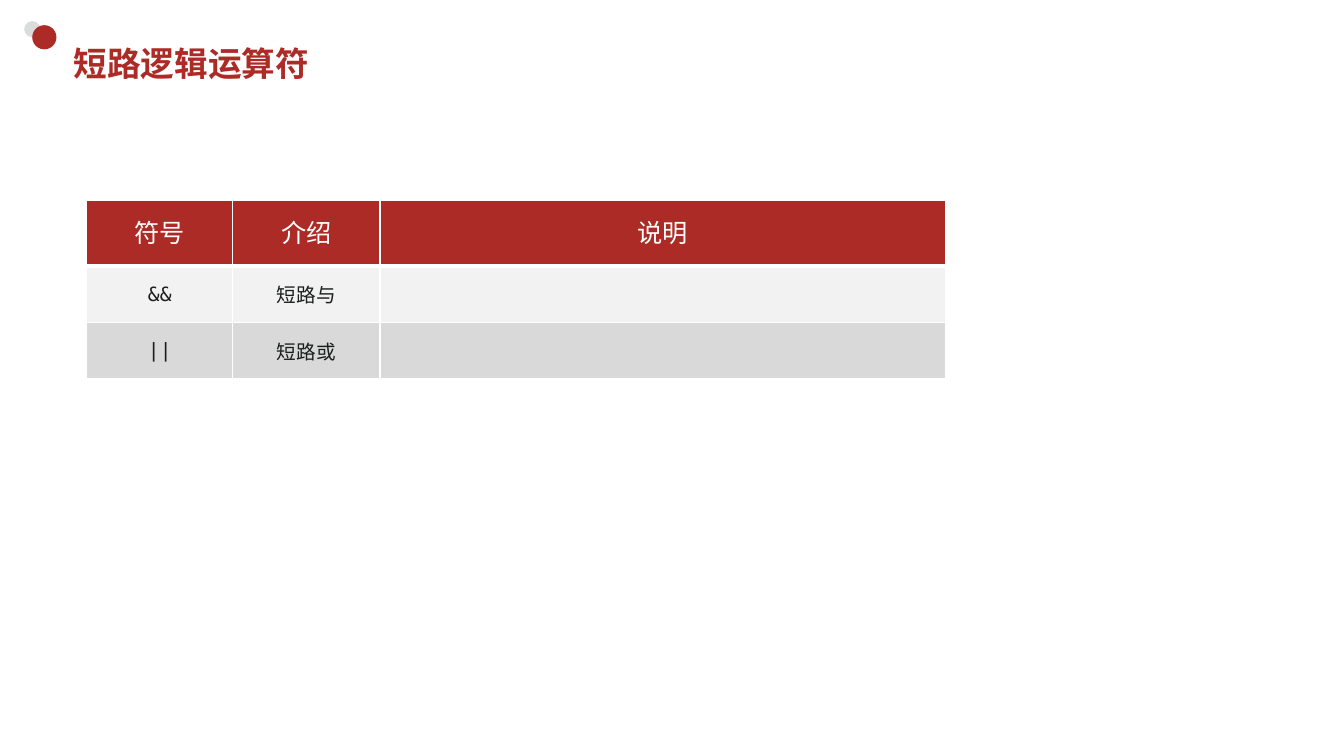
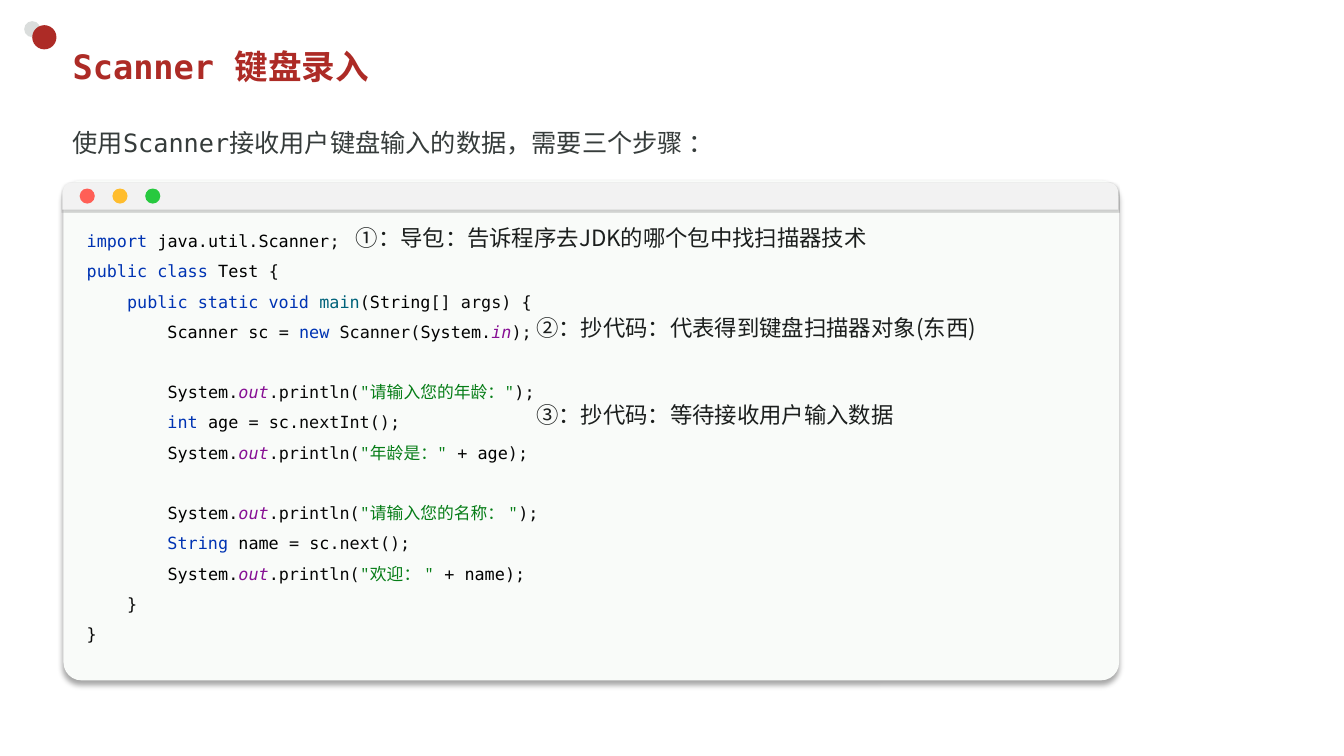
from copy import deepcopy
from dataclasses import dataclass
from typing import NamedTuple

from lxml import etree
from pptx import Presentation
from pptx.dml.color import RGBColor
from pptx.enum.lang import MSO_LANGUAGE_ID
from pptx.enum.shapes import MSO_SHAPE
from pptx.enum.text import MSO_ANCHOR, MSO_AUTO_SIZE, PP_ALIGN
from pptx.oxml.ns import qn
from pptx.util import Inches, Pt

OVAL = MSO_SHAPE.OVAL
ROUNDED = MSO_SHAPE.ROUNDED_RECTANGLE
TOP_ROUNDED = MSO_SHAPE.ROUND_2_SAME_RECTANGLE
LEFT, CENTER = PP_ALIGN.LEFT, PP_ALIGN.CENTER
TOP, MIDDLE = MSO_ANCHOR.TOP, MSO_ANCHOR.MIDDLE
FIXED, GROW = MSO_AUTO_SIZE.NONE, MSO_AUTO_SIZE.SHAPE_TO_FIT_TEXT
CHINESE = MSO_LANGUAGE_ID.SIMPLIFIED_CHINESE


@dataclass(frozen=True)
class Theme:
    red: str = "AD2B26"
    dot_grey: str = "DADDDC"
    white: str = "FFFFFF"
    light: str = "F2F2F2"
    band: str = "D9D9D9"
    ink: str = "1B1E1D"
    lead: str = "363C3B"
    window: str = "F9FBF9"
    shadow: str = "000000"
    buttons: tuple = ("FF5F56", "FFBD2E", "27C93F")
    mono: str = "DejaVu Sans Mono"
    quote_mono: str = "Noto Sans Mono"
    chinese: str = "Noto Sans CJK JP"
    table_head: str = "Calibri"
    title_size: int = 24
    lead_size: int = 18
    callout_size: int = 16
    cell_size: int = 14
    code_size: int = 12


THEME = Theme()
CODE_COLORS = {
    "keyword": "0033B3",
    "name": "000000",
    "mark": "080808",
    "method": "00627A",
    "field": "871094",
    "quote": "067D17",
    "string": "067D17",
}


class Box(NamedTuple):
    left: float
    top: float
    width: float
    height: float

    def inner(self, left, top, width, height):
        return Box(self.left + left, self.top + top, width, height)

    def lengths(self):
        return [Inches(value) for value in self]


def print_line(message, opening='"', closing='"', tail=()):
    return [
        ("mark", "        "), ("name", "System"), ("mark", "."), ("field", "out"),
        ("mark", ".println("), ("quote", opening), ("string", message),
        ("quote", closing), *tail, ("mark", ");"),
    ]


CODE_LINES = [
    [("keyword", "import "), ("name", "java.util.Scanner"), ("mark", ";")],
    [("keyword", "public class "), ("name", "Test "), ("mark", "{")],
    [("keyword", "    public static void "), ("method", "main"), ("mark", "("),
     ("name", "String"), ("mark", "[] args) {")],
    [("name", "        Scanner sc "), ("mark", "= "), ("keyword", "new "),
     ("mark", "Scanner("), ("name", "System"), ("mark", "."), ("field", "in"),
     ("mark", ");")],
    [],
    print_line("请输入您的年龄："),
    [("keyword", "        int "), ("name", "age "), ("mark", "= "), ("name", "sc"),
     ("mark", ".nextInt();")],
    print_line("年龄是：", closing='" ', tail=[("mark", "+ "), ("name", "age")]),
    [],
    print_line("请输入您的名称：", closing=' "'),
    [("keyword", "        String "), ("name", "name "), ("mark", "= "), ("name", "sc"),
     ("mark", ".next();")],
    print_line("欢迎：", closing=' " ', tail=[("mark", "+ "), ("name", "name")]),
    [("mark", "    }")],
    [("mark", "}")],
]


def add_span(para, text, size, color, font=THEME.mono, bold=False, italic=False):
    span = para.add_run()
    span.text = text
    span.font.size = Pt(size)
    span.font.name = font
    span.font.bold = bold
    span.font.italic = italic
    span.font.language_id = CHINESE
    span.font.color.rgb = RGBColor.from_string(color)
    properties = span._r.get_or_add_rPr()
    etree.SubElement(properties, qn("a:ea"), typeface=THEME.chinese)


def place(shape, box):
    shape.left, shape.top, shape.width, shape.height = box.lengths()


def add_shape(shapes, preset, box, color):
    shape = shapes.add_shape(preset, *box.lengths())
    shape.shadow.inherit = False
    shape.fill.solid()
    shape.fill.fore_color.rgb = RGBColor.from_string(color)
    shape.line.fill.background()
    return shape


def add_shadow(shape, opacity, blur, distance):
    effects = shape._element.spPr.find(qn("a:effectLst"))
    outer = etree.SubElement(
        effects, qn("a:outerShdw"), blurRad=str(Pt(blur)), dist=str(Pt(distance)),
        dir="5400000", algn="t", rotWithShape="0")
    color = etree.SubElement(outer, qn("a:srgbClr"), val=THEME.shadow)
    etree.SubElement(color, qn("a:alpha"), val=str(opacity * 1000))


def add_text_box(shapes, box):
    frame = shapes.add_textbox(*box.lengths()).text_frame
    frame.word_wrap = True
    frame.auto_size = GROW
    return frame


def add_master_dots(deck, page):
    dots = [(Box(0.24, 0.21, 0.16, 0.16), THEME.dot_grey),
            (Box(0.32, 0.25, 0.24, 0.24), THEME.red)]
    for number, (box, color) in enumerate(dots, 100):
        dot = add_shape(page.shapes, OVAL, box, color)
        dot.element.nvSpPr.cNvPr.set("id", str(number))
        deck.slide_master.element.cSld.spTree.append(dot.element)


def fill_placeholder(shape, box, text, size, color, anchor, bold=False):
    place(shape, box)
    frame = shape.text_frame
    frame.auto_size = FIXED
    frame.vertical_anchor = anchor
    para = frame.paragraphs[0]
    para.alignment = LEFT
    para.space_before = Pt(0)
    add_span(para, text, size, color, bold=bold)
    return para


def add_title(page, box, text):
    fill_placeholder(page.shapes.title, box, text, THEME.title_size, THEME.red,
                     MIDDLE, bold=True)


def add_lead(page, box, text):
    para = fill_placeholder(page.placeholders[1], box, text, THEME.lead_size,
                            THEME.lead, TOP)
    para.line_spacing = 0.9
    properties = para._p.get_or_add_pPr()
    properties.set("marL", "0")
    properties.set("indent", "0")
    etree.SubElement(properties, qn("a:buNone"))


def set_borders(cell, top, bottom):
    properties = cell._tc.get_or_add_tcPr()
    for side, width in (("L", 1), ("R", 1), ("T", top), ("B", bottom)):
        line = etree.SubElement(properties, qn(f"a:ln{side}"), w=str(Pt(width)))
        fill = etree.SubElement(line, qn("a:solidFill"))
        etree.SubElement(fill, qn("a:srgbClr"), val=THEME.white)


def add_operator_table(page, box):
    rows = [("符号", "介绍", "说明"), ("&&", "短路与", ""), ("||", "短路或", "")]
    fills = [THEME.red, THEME.light, THEME.band]
    borders = [(1, 3), (3, 1), (1, 1)]
    table = page.shapes.add_table(3, 3, *box.lengths()).table
    for column, width in zip(table.columns, (1.45, 1.46, 5.61)):
        column.width = Inches(width)
    for row, height in zip(table.rows, (0.65, 0.56, 0.56)):
        row.height = Inches(height)
    for row_index, texts in enumerate(rows):
        header = row_index == 0
        for column_index, text in enumerate(texts):
            cell = table.cell(row_index, column_index)
            set_borders(cell, *borders[row_index])
            cell.fill.solid()
            cell.fill.fore_color.rgb = RGBColor.from_string(fills[row_index])
            cell.vertical_anchor = MIDDLE
            cell.margin_left = cell.margin_right = Inches(0.1 if header else 0.13)
            cell.margin_top = cell.margin_bottom = Inches(0.05 if header else 0.07)
            para = cell.text_frame.paragraphs[0]
            para.alignment = CENTER
            if header:
                para.line_spacing = Pt(24)
                add_span(para, text, THEME.lead_size, THEME.white, THEME.table_head)
            elif text:
                add_span(para, text, THEME.cell_size, THEME.ink)


def add_code(shapes, box):
    frame = add_text_box(shapes, box)
    frame.margin_left = frame.margin_right = Inches(0.24)
    para = frame.paragraphs[0]
    para.line_spacing = 1.5
    for index, line in enumerate(CODE_LINES):
        if index:
            para.add_line_break()
        for kind, text in line:
            font = THEME.quote_mono if kind == "quote" else THEME.mono
            add_span(para, text, THEME.code_size, CODE_COLORS[kind], font,
                     italic=kind == "field")
    first_properties = para._p.find(qn("a:r")).find(qn("a:rPr"))
    for line_break in para._p.findall(qn("a:br")):
        line_break.append(deepcopy(first_properties))


def add_code_window(page, box):
    shapes = page.shapes.add_group_shape().shapes
    panel = add_shape(shapes, ROUNDED, box, THEME.window)
    panel.adjustments[0] = 0.036
    add_shadow(panel, 34, 4, 3)
    add_code(shapes, box.inner(-0.01, 0.35, 9.5, 4.31))
    bar = add_shape(shapes, TOP_ROUNDED, box.inner(-0.01, 0.02, box.width, 0.27),
                    THEME.light)
    bar.adjustments[0] = 0.37
    bar.adjustments[1] = 0
    add_shadow(bar, 20, 1, 1)
    for index, color in enumerate(THEME.buttons):
        add_shape(shapes, OVAL, box.inner(0.16 + index * 0.325, 0.08, 0.15, 0.15), color)


def add_callouts(page, box):
    callouts = [
        (2.8, 0.38, 5.91, "①：导包：告诉程序去JDK的哪个包中找扫描器技术"),
        (4.59, 1.28, 4.9, "②：抄代码：代表得到键盘扫描器对象(东西)"),
        (4.59, 2.14, 4.9, "③：抄代码：等待接收用户输入数据"),
    ]
    for left, top, width, text in callouts:
        frame = add_text_box(page.shapes, box.inner(left, top, width, 0.37))
        add_span(frame.paragraphs[0], text, THEME.callout_size, THEME.ink, THEME.chinese)


def build_operator_slide(deck):
    page = deck.slides.add_slide(deck.slide_layouts[5])
    add_master_dots(deck, page)
    add_title(page, Box(0.63, 0.37, 11.74, 0.52), "短路逻辑运算符")
    add_operator_table(page, Box(0.86, 1.99, 8.52, 1.77))


def build_scanner_slide(deck):
    page = deck.slides.add_slide(deck.slide_layouts[1])
    add_title(page, Box(0.62, 0.4, 11.74, 0.52), "Scanner 键盘录入")
    add_lead(page, Box(0.62, 1.25, 11.76, 0.57),
             "使用Scanner接收用户键盘输入的数据，需要三个步骤 ：")
    window = Box(0.63, 1.79, 10.47, 4.96)
    add_code_window(page, window)
    add_callouts(page, window)


def main():
    deck = Presentation()
    deck.slide_width, deck.slide_height = Inches(13.33), Inches(7.5)
    build_operator_slide(deck)
    build_scanner_slide(deck)
    deck.save("out.pptx")


if __name__ == "__main__":
    main()
